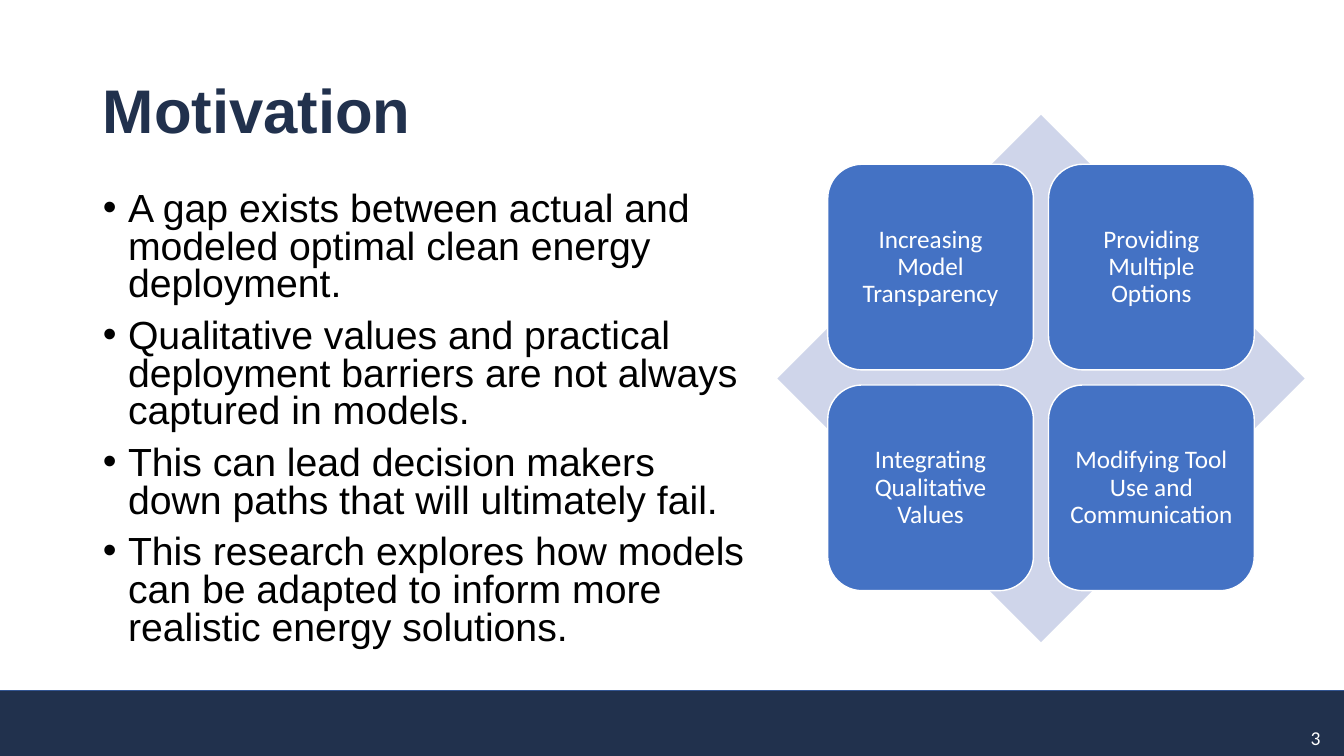
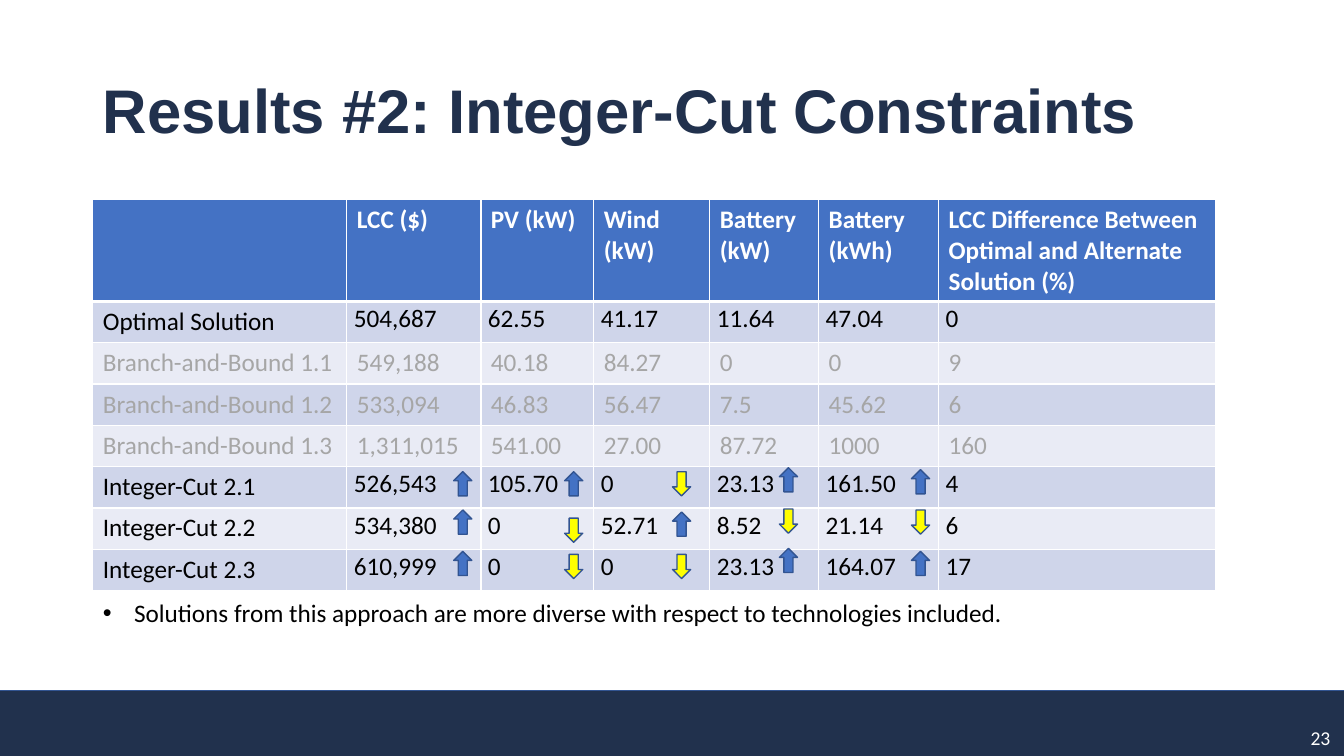
"""Build two slides on energy model motivation and integer-cut results."""
from lxml import etree
from pptx import Presentation
from pptx.dml.color import RGBColor
from pptx.enum.shapes import MSO_SHAPE
from pptx.enum.text import MSO_ANCHOR, MSO_AUTO_SIZE, PP_ALIGN
from pptx.oxml.ns import qn
from pptx.util import Inches, Pt

LEFT, CENTER = PP_ALIGN.LEFT, PP_ALIGN.CENTER
TOP, MIDDLE = MSO_ANCHOR.TOP, MSO_ANCHOR.MIDDLE
NO_FIT = MSO_AUTO_SIZE.NONE
RECTANGLE, DIAMOND = MSO_SHAPE.RECTANGLE, MSO_SHAPE.DIAMOND
ROUNDED = MSO_SHAPE.ROUNDED_RECTANGLE
UP, DOWN = MSO_SHAPE.UP_ARROW, MSO_SHAPE.DOWN_ARROW

NAVY = RGBColor(0x21, 0x31, 0x4D)
BLUE = RGBColor(0x44, 0x72, 0xC4)
OUTLINE = RGBColor(0x32, 0x54, 0x91)
PALE_BLUE = RGBColor(0xCF, 0xD5, 0xEA)
PALER_BLUE = RGBColor(0xE9, 0xEB, 0xF5)
GREY = RGBColor(0xA6, 0xA6, 0xA6)
YELLOW = RGBColor(0xFF, 0xFF, 0x00)
BLACK = RGBColor(0, 0, 0)
WHITE = RGBColor(0xFF, 0xFF, 0xFF)

MOTIVATION = [
    "A gap exists between actual and modeled optimal clean energy deployment.",
    "Qualitative values and practical deployment barriers are not always captured in models.",
    "This can lead decision makers down paths that will ultimately fail.",
    "This research explores how models can be adapted to inform more realistic energy solutions.",
]
THEMES = [
    ["Increasing Model Transparency", "Providing Multiple Options"],
    ["Integrating Qualitative Values", "Modifying Tool Use and Communication"],
]

HEADER = ["", "LCC ($)", "PV (kW)", "Wind (kW)", "Battery (kW)", "Battery (kWh)",
          "LCC Difference Between Optimal and Alternate Solution (%)"]
SOLUTIONS = [
    ["Optimal Solution", "504,687", "62.55", "41.17", "11.64", "47.04", "0"],
    ["Branch-and-Bound 1.1", "549,188", "40.18", "84.27", "0", "0", "9"],
    ["Branch-and-Bound 1.2", "533,094", "46.83", "56.47", "7.5", "45.62", "6"],
    ["Branch-and-Bound 1.3", "1,311,015", "541.00", "27.00", "87.72", "1000", "160"],
    ["Integer-Cut 2.1", "526,543", "105.70", "0", "23.13", "161.50", "4"],
    ["Integer-Cut 2.2", "534,380", "0", "52.71", "8.52", "21.14", "6"],
    ["Integer-Cut 2.3", "610,999", "0", "0", "23.13", "164.07", "17"],
]
COLUMN_WIDTHS = [2.52, 1.33, 1.12, 1.15, 1.08, 1.19, 2.75]
HEADER_HEIGHT, ROW_HEIGHT = 1.01, 0.41
CHANGES = [
    (4.5, (UP, UP, UP), (4.68, 5.06, 5.47)),
    (5.6, (UP, DOWN, DOWN), (4.68, 5.14, 5.5)),
    (6.67, (DOWN, UP, DOWN), (4.68, 5.08, 5.5)),
    (7.73, (UP, DOWN, UP), (4.64, 5.05, 5.44)),
    (9.04, (UP, DOWN, UP), (4.66, 5.06, 5.47)),
]
FINDINGS = ["Solutions from this approach are more diverse with respect to technologies included."]


def set_font(font, size, color, name="Calibri", bold=False):
    font.size, font.name, font.bold = Pt(size), name, bold
    font.color.rgb = color


def place(shape, *box):
    shape.left, shape.top, shape.width, shape.height = map(Inches, box)


def add_figure(slide, kind, box, fill, line=None):
    figure = slide.shapes.add_shape(kind, *map(Inches, box))
    figure.shadow.inherit = False
    figure.fill.solid()
    figure.fill.fore_color.rgb = fill
    if line is None:
        figure.line.fill.background()
    else:
        figure.line.color.rgb = line
        figure.line.width = Pt(1)
    return figure


def add_master_band(prs, slide):
    band = add_figure(slide, RECTANGLE, (-0.01, 6.85, 13.35, 0.66), NAVY, OUTLINE)
    band.element.nvSpPr.cNvPr.set("id", "101")
    prs.slide_master.shapes.element.append(band.element)


def add_slide(prs, title, number):
    slide = prs.slides.add_slide(prs.slide_layouts[1])
    heading = slide.shapes.title
    place(heading, 0.92, 0.4, 11.5, 1.45)
    heading.text_frame.text = title
    heading.text_frame.auto_size = NO_FIT
    heading.text_frame.vertical_anchor = MIDDLE
    paragraph = heading.text_frame.paragraphs[0]
    paragraph.alignment = LEFT
    paragraph.line_spacing = 0.9
    set_font(paragraph.font, 44, NAVY, "Arial", True)

    page = slide.shapes.add_textbox(*map(Inches, (12.9, 7.15, 0.43, 0.35)))
    page.text_frame.word_wrap = False
    page.text_frame.text = number
    set_font(page.text_frame.paragraphs[0].font, 14, WHITE)
    return slide


def fill_bullets(slide, items, box, indent, spacing, size, name):
    body = slide.placeholders[1]
    place(body, *box)
    frame = body.text_frame
    frame.auto_size = NO_FIT
    frame.vertical_anchor = TOP
    for index, item in enumerate(items):
        paragraph = frame.add_paragraph() if index else frame.paragraphs[0]
        paragraph.text = item
        properties = paragraph._p.get_or_add_pPr()
        properties.set("marL", str(Inches(indent)))
        properties.set("indent", str(-Inches(indent)))
        paragraph.line_spacing = spacing
        paragraph.space_before = Pt(10 if index else 0)
        set_font(paragraph.font, size, BLACK, name)


def add_themes(slide):
    add_figure(slide, DIAMOND, (7.71, 1.14, 5.23, 5.23), PALE_BLUE)
    side, pitch = 2.04, 2.19
    for row, themes in enumerate(THEMES):
        for column, theme in enumerate(themes):
            box = (8.21 + column * pitch, 1.63 + row * pitch, side, side)
            tile = add_figure(slide, ROUNDED, box, BLUE, WHITE)
            frame = tile.text_frame
            frame.word_wrap = True
            frame.vertical_anchor = MIDDLE
            frame.margin_left = frame.margin_right = Inches(0.07)
            frame.margin_top = frame.margin_bottom = Inches(0.07)
            frame.text = theme
            paragraph = frame.paragraphs[0]
            paragraph.alignment = CENTER
            paragraph.line_spacing = 0.9
            set_font(paragraph.font, 18, WHITE)


def set_borders(cell, top, bottom):
    properties = cell._tc.get_or_add_tcPr()
    for side, width in (("L", 1), ("R", 1), ("T", top), ("B", bottom)):
        line = etree.SubElement(properties, qn(f"a:ln{side}"), w=str(Pt(width)))
        fill = etree.SubElement(line, qn("a:solidFill"))
        etree.SubElement(fill, qn("a:srgbClr"), val=str(WHITE))


def add_solutions(slide):
    rows = [HEADER, *SOLUTIONS]
    height = HEADER_HEIGHT + ROW_HEIGHT * len(SOLUTIONS)
    box = map(Inches, (0.92, 1.98, sum(COLUMN_WIDTHS), height))
    table = slide.shapes.add_table(len(rows), len(HEADER), *box).table
    for column, width in zip(table.columns, COLUMN_WIDTHS):
        column.width = Inches(width)
    for r, values in enumerate(rows):
        is_header = r == 0
        is_muted = values[0].startswith("Branch")
        table.rows[r].height = Inches(HEADER_HEIGHT if is_header else ROW_HEIGHT)
        band = BLUE if is_header else PALE_BLUE if r % 2 else PALER_BLUE
        color = WHITE if is_header else GREY if is_muted else BLACK
        for c, value in enumerate(values):
            cell = table.cell(r, c)
            set_borders(cell, 3 if r == 1 else 1, 3 if is_header else 1)
            cell.fill.solid()
            cell.fill.fore_color.rgb = band
            cell.text = value
            paragraph = cell.text_frame.paragraphs[0]
            if c and not is_header and not is_muted:
                cell.margin_left = cell.margin_right = Inches(0.07)
                cell.margin_top = cell.margin_bottom = 0
                paragraph.line_spacing = 1.07
            set_font(paragraph.font, 18, color, bold=is_header)


def add_changes(slide):
    for left, directions, tops in CHANGES:
        for direction, top in zip(directions, tops):
            fill = BLUE if direction == UP else YELLOW
            add_figure(slide, direction, (left, top, 0.18, 0.24), fill, OUTLINE)


def main():
    prs = Presentation()
    prs.slide_width, prs.slide_height = Inches(13.33), Inches(7.5)

    motivation = add_slide(prs, "Motivation", "3")
    add_master_band(prs, motivation)
    fill_bullets(motivation, MOTIVATION, (0.92, 1.86, 6.66, 4.76), 0.25, 0.8, 28, "Arial")
    add_themes(motivation)

    results = add_slide(prs, "Results #2: Integer-Cut Constraints", "23")
    fill_bullets(results, FINDINGS, (0.92, 5.88, 11.07, 0.4), 0.31, 1.0, 18, "Calibri")
    add_solutions(results)
    add_changes(results)

    prs.save("out.pptx")


if __name__ == "__main__":
    main()
